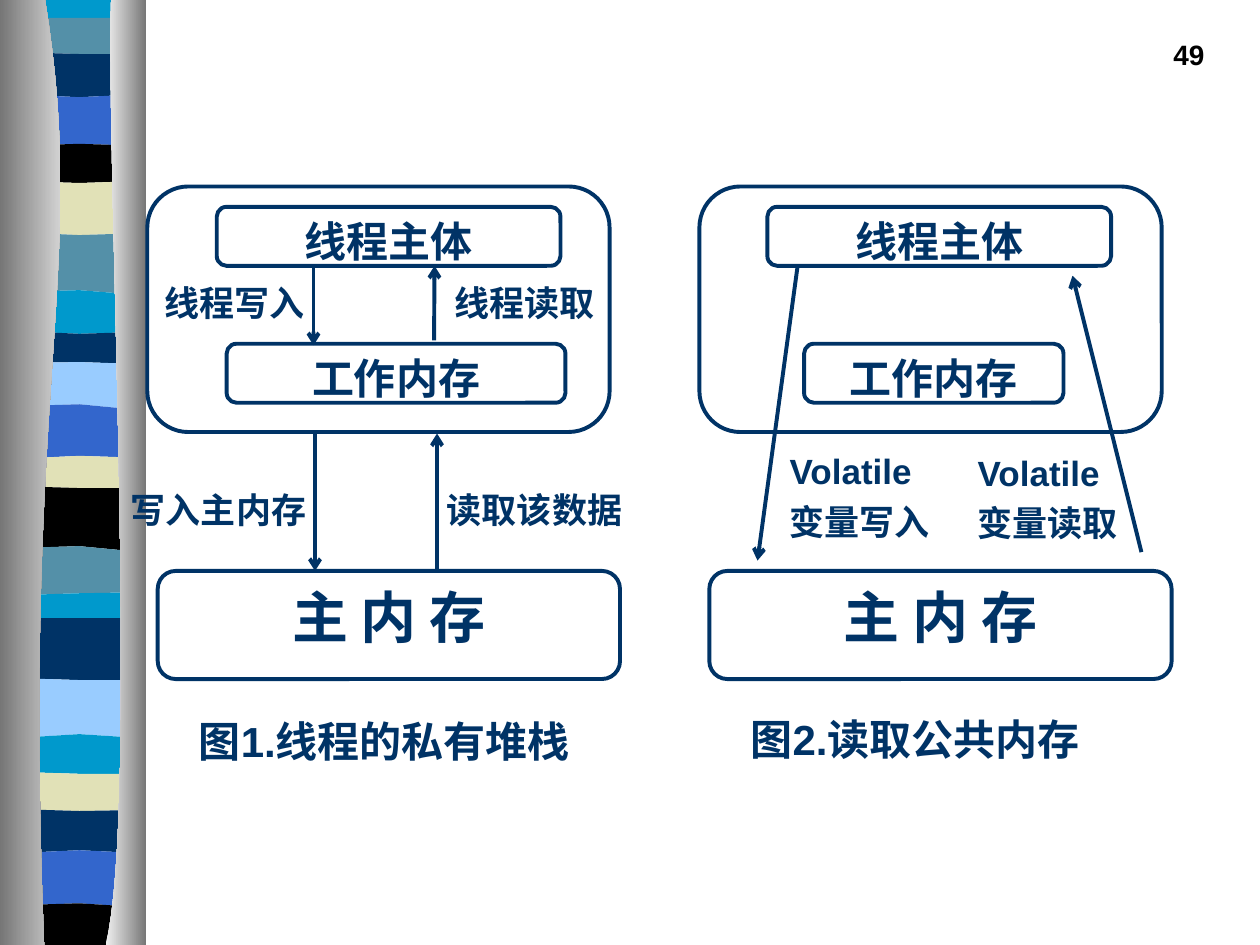
from pptx import Presentation
from pptx.dml.color import RGBColor
from pptx.enum.shapes import MSO_CONNECTOR, MSO_SHAPE
from pptx.enum.text import PP_ALIGN
from pptx.oxml.ns import qn
from pptx.util import Cm, Pt
from lxml import etree

ROUNDED = MSO_SHAPE.ROUNDED_RECTANGLE
STRAIGHT = MSO_CONNECTOR.STRAIGHT
LEFT, CENTER, RIGHT = PP_ALIGN.LEFT, PP_ALIGN.CENTER, PP_ALIGN.RIGHT

# Content: all lengths in centimetres
SLIDE_W, SLIDE_H = 25.4, 19.05
NAVY, BLACK = "003366", "000000"
SKY, TEAL, BLUE = "0099CC", "5490A8", "3366CC"
CREAM, PALE = "E1E1B7", "99CCFF"

# Ribbon bands: colour and height of the top edge at left, middle and right
RIBBON_X = (0.3, 1.6, 2.85)
BANDS = [
    (SKY, (0, 0, 0)), (TEAL, (0.36, 0.36, 0.36)),
    (NAVY, (1.05, 1.09, 1.09)), (BLUE, (1.9, 1.96, 1.9)),
    (BLACK, (2.94, 2.9, 2.94)), (CREAM, (3.65, 3.69, 3.65)),
    (TEAL, (4.68, 4.74, 4.7)), (SKY, (5.89, 5.85, 5.95)),
    (NAVY, (6.67, 6.73, 6.69)), (PALE, (7.32, 7.3, 7.34)),
    (BLUE, (8.19, 8.15, 8.27)), (CREAM, (9.25, 9.19, 9.23)),
    (BLACK, (9.8, 9.84, 9.84)), (TEAL, (11.05, 11.01, 11.13)),
    (SKY, (12, 11.96, 11.94)), (NAVY, (12.46, 12.46, 12.46)),
    (PALE, (13.67, 13.71, 13.71)), (SKY, (14.88, 14.8, 14.88)),
    (CREAM, (15.56, 15.6, 15.6)), (NAVY, (16.31, 16.35, 16.33)),
    (BLUE, (17.2, 17.14, 17.2)), (BLACK, (18.25, 18.21, 18.29)),
]
RIBBON_END = (SLIDE_H,) * 3

# Curtains: straight outer edge, curve of the inner edge, gradient colours
CURTAINS = [
    (0, [(0.91, 0), (1.8, 5.49), (0.43, 7.52), (0.89, SLIDE_H)],
     ("767676", "D2D2D2")),
    (2.95, [(2.24, 0), (2.13, 3.18), (2.82, 16.4), (2.13, SLIDE_H)],
     ("F0F0F0", "767676")),
]

# Boxes: wording, top, height, text size, space before, (left, width) per figure
BOXES = [
    ("", 3.76, 4.95, 24, 6, [(2.97, 9.32), (14.1, 9.32)]),
    ("线程主体", 4.17, 1.19, 24, 6, [(4.37, 6.93), (15.47, 6.93)]),
    ("工作内存", 6.93, 1.19, 24, 6, [(4.57, 6.83), (16.21, 5.23)]),
    ("主 内 存", 11.51, 2.18, 32, 8, [(3.18, 9.32), (14.3, 9.32)]),
]
ARROWS = [
    (6.32, 5.36, 6.32, 6.96), (8.75, 6.86, 8.76, 5.36),
    (6.35, 8.74, 6.35, 11.51), (8.81, 11.51, 8.81, 8.74),
    (16.08, 5.36, 15.27, 11.3), (23.01, 11.13, 21.62, 5.56),
]
# Texts: wording, left, top, width, height
LABELS = [
    ("线程写入", 3.07, 5.56, 3.38, 1.12),
    ("线程读取", 8.92, 5.56, 3.38, 1.12),
    ("写入主内存", 2.39, 9.73, 4.37, 1.12),
    ("读取该数据", 8.76, 9.73, 4.37, 1.12),
    ("Volatile\n变量写入", 15.67, 8.94, 3.38, 2.13),
    ("Volatile\n变量读取", 19.46, 8.97, 3.38, 2.13),
]
CAPTIONS = [
    ("图1.线程的私有堆栈", 3.76, 14.3, 8.33, 2.29),
    ("图2.读取公共内存", 14.88, 14.25, 8.33, 1.27),
]
PAGE_NUMBER = ("49", 19.25, 0.64, 5.28, 1.27)


def rgb(colour):
    return RGBColor.from_string(colour)


def write(shape, wording, size, before, align=LEFT, colour=NAVY):
    frame = shape.text_frame
    frame.word_wrap = True
    frame.text = wording
    for paragraph in frame.paragraphs:
        paragraph.alignment = align
        paragraph.space_before = Pt(before)
        for run in paragraph.runs:
            run.font.name = "Arial"
            run.font.size = Pt(size)
            run.font.bold = True
            run.font.color.rgb = rgb(colour)


def add_text(wording, left, top, width, height, *style):
    box = shapes.add_textbox(Cm(left), Cm(top), Cm(width), Cm(height))
    write(box, wording, *style)


def add_outline(points):
    start, *rest = [(Cm(x), Cm(y)) for x, y in points]
    builder = shapes.build_freeform(*start)
    builder.add_line_segments(rest)
    outline = builder.convert_to_shape()
    outline.shadow.inherit = False
    outline.line.fill.background()
    return outline


def curve(controls, steps=32):
    """Points along a cubic curve."""
    points = []
    for step in range(steps + 1):
        t = step / steps
        weights = ((1 - t) ** 3, 3 * t * (1 - t) ** 2, 3 * t * t * (1 - t), t ** 3)
        points.append(tuple(sum(w * c[axis] for w, c in zip(weights, controls))
                            for axis in (0, 1)))
    return points


prs = Presentation()
prs.slide_width, prs.slide_height = Cm(SLIDE_W), Cm(SLIDE_H)
shapes = prs.slides.add_slide(prs.slide_layouts[6]).shapes

# Ribbon: every band ends where the next one starts
edges = [edge for _, edge in BANDS] + [RIBBON_END]
for (colour, top_edge), bottom_edge in zip(BANDS, edges[1:]):
    upper = list(zip(RIBBON_X, top_edge))
    lower = list(zip(RIBBON_X, bottom_edge))
    band = add_outline(upper + lower[::-1])
    band.fill.solid()
    band.fill.fore_color.rgb = rgb(colour)

# Curtains on both sides of the ribbon
for outer_x, controls, colours in CURTAINS:
    curtain = add_outline([(outer_x, 0)] + curve(controls) + [(outer_x, SLIDE_H)])
    curtain.fill.gradient()
    curtain.fill.gradient_angle = 0
    for stop, colour in zip(curtain.fill.gradient_stops, colours):
        stop.color.rgb = rgb(colour)

# Page number
add_text(*PAGE_NUMBER, 16, 10, RIGHT, BLACK)

# Boxes of both figures
for wording, top, height, size, before, places in BOXES:
    for left, width in places:
        box = shapes.add_shape(ROUNDED, Cm(left), Cm(top), Cm(width), Cm(height))
        box.shadow.inherit = False
        box.fill.background()
        box.line.color.rgb = rgb(NAVY)
        box.line.width = Pt(2.25)
        if wording:
            write(box, wording, size, before, CENTER)
            box.text_frame.vertical_anchor = 1

# Arrows
for ends in ARROWS:
    arrow = shapes.add_connector(STRAIGHT, *map(Cm, ends))
    arrow.line.color.rgb = rgb(NAVY)
    arrow.line.width = Pt(2.25)
    etree.SubElement(arrow.line._get_or_add_ln(), qn("a:tailEnd"), type="arrow")
    etree.SubElement(arrow._element.spPr, qn("a:effectLst"))

# Labels and captions
for label in LABELS:
    add_text(*label, 20, 5)
for caption in CAPTIONS:
    add_text(*caption, 24, 6)

prs.save("out.pptx")
